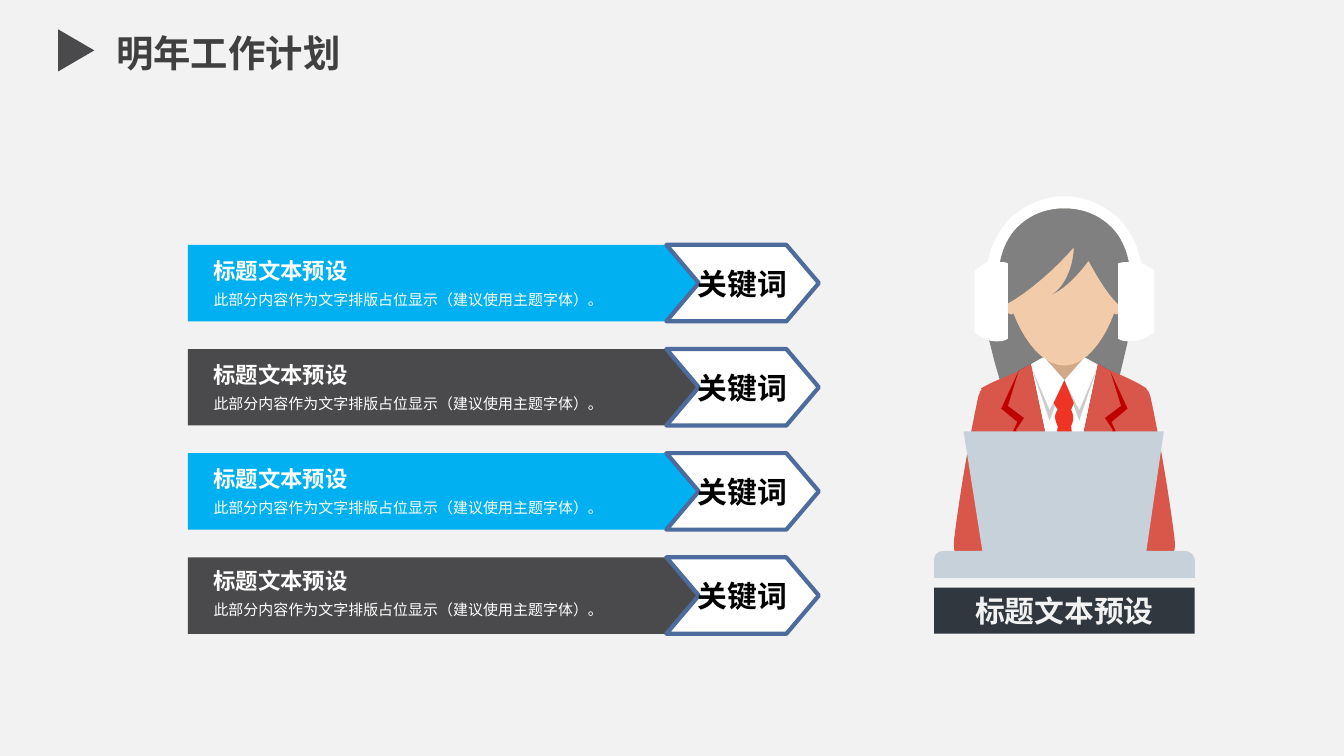
from pptx import Presentation
from pptx.dml.color import RGBColor
from pptx.enum import shapes, text
from pptx.util import Pt

COLORS = {
    "page": "F2F2F2", "dark": "4A4A4C", "title": "404040", "blue": "00B0F0",
    "white": "FFFFFF", "black": "000000", "outline": "4D6B9C",
    "hair": "808080", "jacket": "D8574A", "lapel": "C00000", "skin": "F2CBAA",
    "neck": "D2A987", "collar": "CDCCCC", "tie": "EF3325",
    "laptop": "C6D1D9", "sign": "30373F",
}

# Figure grid: x runs from the figure's axis, y from the top of the headset.
AXIS, TOP, UNIT = 570.24, 105.12, 0.72

# In an outline, a pair is a corner and a sextuple is a Bezier curve
# (two control points, then the end point).
HAIR = [(52, 86), (40, 141, 17, 239, 0, 239), (-18, 239, -52, 133, -59, 93),
        (-65, 58, -54, -10, 20, 12), (44, 11, 62, 38, 52, 86)]
SLEEVE = [(28, 151), (47, 146, 60, 134, 64, 149), (68, 167, 77, 214, 82, 255),
          (83, 264, 81, 267, 78, 268), (65, 272, 54, 273, 40, 275)]
JACKET = [(-49, 274), (-40, 250, -45, 243, -56, 217),
          (-67, 190, -45, 176, -62, 143), (-47, 134, -27, 130, -16, 120),
          (-11, 125, -7, 126, 0, 126), (6, 126, 10, 125, 15, 120),
          (24, 127, 46, 133, 61, 143), (45, 177, 67, 182, 56, 217),
          (48, 243, 34, 245, 47, 274), (17, 278, -19, 278, -49, 274)]
SHIRT = [(-30, 128), (-31, 165), (0, 243), (30, 165), (28, 127), (15, 120),
         (-16, 120)]
FACE = [(0, 126), (15, 126, 29, 109, 37, 87), (38, 88),
        (41, 88, 45, 83, 46, 75), (47, 67, 46, 61, 43, 60), (42, 60),
        (44, 33, 33, 9, 0, 9), (-33, 9, -45, 34, -43, 60), (-44, 60),
        (-47, 61, -49, 67, -47, 75), (-46, 83, -43, 88, -39, 88), (-38, 87),
        (-30, 108, -16, 126, 0, 126)]
COLLAR_SHADOW = [(15, 120), (0, 137), (11, 167), (25, 126)]
COLLAR = [(15, 120), (0, 137), (11, 159), (25, 126)]
TIE = [(5, 171), (7, 167, 7, 163, 5, 159), (7, 154), (0, 137), (-8, 154),
       (-5, 159), (-8, 163, -7, 167, -5, 171), (-10, 220), (0, 244), (10, 220)]
FRINGE = [(30, 19), (29, 18), (22, 12, 12, 9, -1, 9),
          (-23, 9, -35, 19, -41, 34), (-49, 40, -55, 54, -53, 84),
          (-39, 82, -9, 57, 7, 38), (7, 52, 0, 68, -9, 73),
          (0, 69, 10, 59, 18, 48), (27, 65, 38, 82, 48, 86),
          (54, 31, 40, 23, 30, 19)]
HEADSET = [(57, 50), (55, 37, 49, 26, 41, 17), (30, 7, 16, 0, 0, 0),
           (-16, 0, -30, 7, -41, 17), (-49, 26, -55, 37, -57, 49),
           (-61, 51, -64, 53, -67, 56), (-67, 101),
           (-63, 105, -57, 108, -51, 108), (-48, 108, -45, 108, -42, 106),
           (-42, 50), (-44, 49, -46, 49, -48, 49), (-46, 39, -42, 30, -35, 23),
           (-26, 14, -14, 9, 0, 9), (14, 9, 26, 14, 35, 23),
           (42, 30, 46, 39, 48, 49), (45, 49, 43, 49, 40, 50), (40, 106),
           (43, 108, 46, 108, 49, 108), (56, 108, 62, 105, 67, 101), (67, 56),
           (64, 53, 61, 51, 57, 50)]
LAPEL_EDGE = [(25, 125), (0, 244), (40, 179), (35, 168), (47, 158), (34, 130)]
LAPEL = [(25, 125), (0, 244), (36, 174), (30, 165), (42, 156), (34, 130)]
LAPTOP = [(90, 264), (61, 264), (74, 175), (-75, 175), (-61, 264), (-90, 264),
          (-94, 264, -97, 267, -97, 271), (-97, 284), (97, 284), (97, 271),
          (97, 267, 93, 264, 90, 264)]


def rgb(name):
    return RGBColor.from_string(COLORS[name])


def paint(sp, fill, line=None):
    sp.shadow.inherit = False
    sp.fill.solid()
    sp.fill.fore_color.rgb = rgb(fill)
    if line:
        sp.line.color.rgb = rgb(line)
        sp.line.width = Pt(2.25)
    else:
        sp.line.fill.background()
    return sp


def add_preset(parent, kind, left, top, width, height, fill):
    sp = parent.add_shape(kind, Pt(left), Pt(top), Pt(width), Pt(height))
    return paint(sp, fill)


def add_outline(parent, points, fill, line=None):
    corners = [(Pt(x), Pt(y)) for x, y in points]
    builder = parent.build_freeform(*corners[0])
    builder.add_line_segments(corners[1:], close=True)
    return paint(builder.convert_to_shape(), fill, line)


def write(sp, words, size, color, bold=True, font="Calibri", centred=True,
          wrap=True):
    tf = sp.text_frame
    tf.word_wrap = wrap
    tf.auto_size = text.MSO_AUTO_SIZE.NONE
    tf.vertical_anchor = (text.MSO_ANCHOR.MIDDLE if centred
                          else text.MSO_ANCHOR.TOP)
    tf.text = words
    p = tf.paragraphs[0]
    p.alignment = text.PP_ALIGN.CENTER if centred else text.PP_ALIGN.LEFT
    p.font.name = font
    p.font.size = Pt(size)
    p.font.bold = bold
    p.font.color.rgb = rgb(color)


def add_label(parent, words, left, top, width, height, size, bold):
    sp = parent.add_textbox(Pt(left), Pt(top), Pt(width), Pt(height))
    write(sp, words, size, "white", bold, centred=False)


def flatten(outline, steps=10):
    """Turn corners and Bezier curves into a list of points."""
    points = []
    for part in outline:
        if len(part) == 2:
            points.append(part)
            continue
        controls = [points[-1], part[:2], part[2:4], part[4:]]
        for i in range(1, steps + 1):
            t = i / steps
            weights = ((1 - t) ** 3, 3 * t * (1 - t) ** 2,
                       3 * t * t * (1 - t), t ** 3)
            points.append(tuple(sum(w * c[axis] for w, c in zip(weights, controls))
                                for axis in (0, 1)))
    return points


def add_part(parent, outline, fill, sides=(1,)):
    """Draw a part of the figure; side -1 mirrors it across the axis."""
    for side in sides:
        points = [(AXIS + side * UNIT * x, TOP + UNIT * y)
                  for x, y in flatten(outline)]
        add_outline(parent, points, fill)


def add_title(s):
    add_preset(s.shapes, shapes.MSO_SHAPE.ISOSCELES_TRIANGLE,
               29.5, 17.3, 22.6, 19.4, "dark").rotation = 90
    sp = s.shapes.title
    sp.left, sp.top, sp.width, sp.height = Pt(20.9), Pt(11.5), Pt(203), Pt(33.8)
    write(sp, "明年工作计划", 20, "title", wrap=False)
    tf = sp.text_frame
    tf.margin_left = tf.margin_right = tf.margin_top = tf.margin_bottom = 0


def add_plan(s, top, text_top, fill):
    g = s.shapes.add_group_shape().shapes
    add_preset(g, shapes.MSO_SHAPE.RECTANGLE, 100.6, top, 274.3, 41, fill)
    left, shoulder, tip, notch = 357, 421.3, 438.7, 374.4
    middle, bottom = top + 20.5, top + 41
    chevron = add_outline(g, [(left, top), (shoulder, top), (tip, middle),
                              (shoulder, bottom), (left, bottom),
                              (notch, middle)], "white", "outline")
    write(chevron, "关键词", 16, "black", wrap=False)
    add_label(g, "标题文本预设", 107.3, text_top, 90.7, 21.6, 12, True)
    add_label(g, "此部分内容作为文字排版占位显示（建议使用主题字体）。",
              107.3, text_top + 18, 238.3, 17.3, 8, False)


def add_figure(s):
    g = s.shapes.add_group_shape().shapes
    both = (-1, 1)
    rectangle = shapes.MSO_SHAPE.RECTANGLE
    add_part(g, HAIR, "hair")
    add_part(g, SLEEVE, "jacket", both)
    add_part(g, JACKET, "jacket")
    add_part(g, SHIRT, "white")
    add_preset(g, rectangle, AXIS - 11.5, 182.2, 22.3, 23, "neck")
    add_part(g, FACE, "skin")
    add_part(g, COLLAR_SHADOW, "collar", both)
    add_part(g, COLLAR, "white", both)
    add_part(g, TIE, "tie")
    add_part(g, FRINGE, "hair")
    add_part(g, HEADSET, "white")
    add_part(g, LAPEL_EDGE, "lapel", both)
    add_part(g, LAPEL, "jacket", both)
    add_part(g, LAPTOP, "laptop")
    sign = add_preset(g, rectangle, AXIS - 69.8, 314.8, 139.6, 24.7, "sign")
    write(sign, "标题文本预设", 16, "page", font="Arial")


def main():
    prs = Presentation()
    prs.slide_width, prs.slide_height = Pt(720), Pt(405)
    s = prs.slides.add_slide(prs.slide_layouts[5])
    s.background.fill.solid()
    s.background.fill.fore_color.rgb = rgb("page")
    add_title(s)
    for i, text_top in enumerate((134, 190, 245.5, 300.2)):
        add_plan(s, 131.2 + 55.8 * i, text_top, ("blue", "dark")[i % 2])
    add_figure(s)
    prs.save("out.pptx")


if __name__ == "__main__":
    main()
